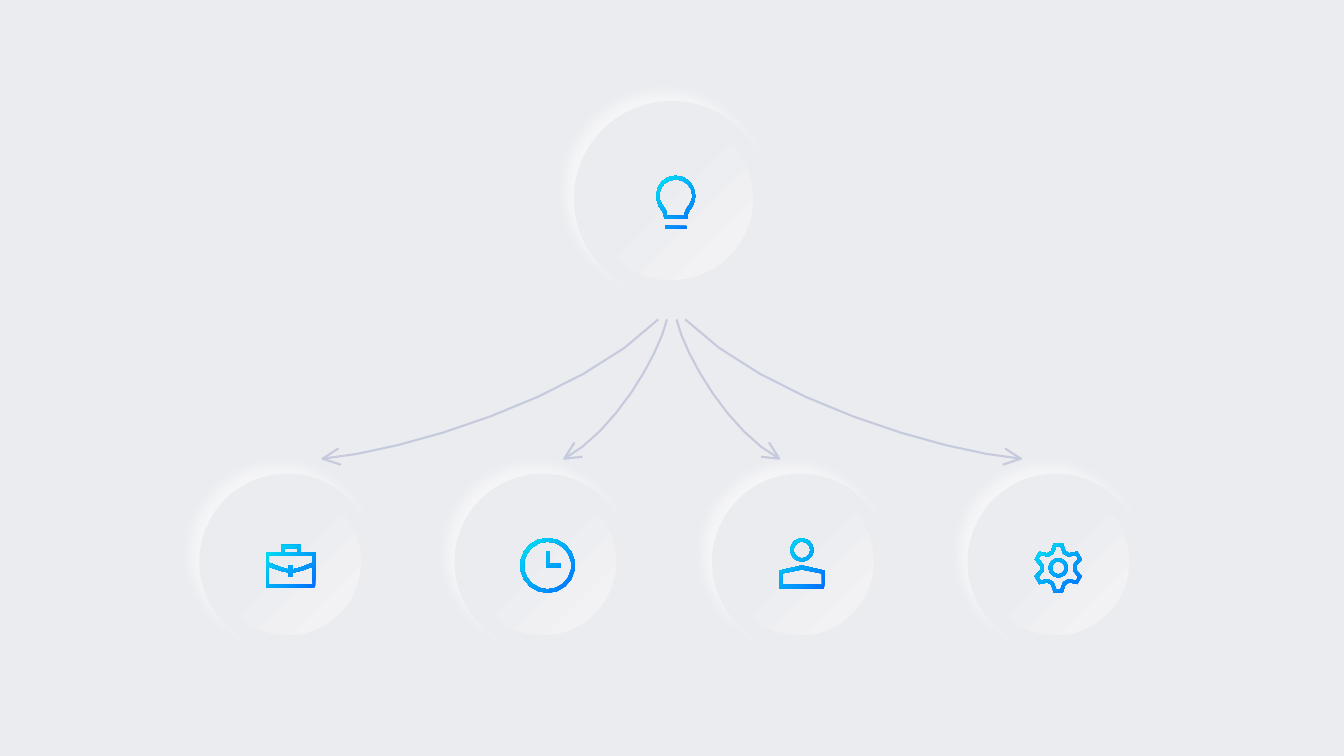
"""Build a hub slide: an idea button with curved arrows to four icon buttons."""
from dataclasses import dataclass
from math import cos, radians, sin

from lxml.etree import SubElement
from pptx import Presentation
from pptx.dml.color import RGBColor as Rgb
from pptx.enum.shapes import MSO_SHAPE as Shape
from pptx.oxml.ns import qn
from pptx.util import Cm, Pt


@dataclass(frozen=True)
class Theme:
    """Colours and sizes of the deck."""
    surface: str = "EBECF0"
    highlight: str = "F4F4F6"
    glow: str = "FFFFFF"
    arrow: str = "C5CADC"
    icon_dark: str = "006EFF"
    icon_light: str = "00E6F2"
    arrow_width: float = 1.5
    glow_size: float = 9
    inner_ratio: float = 0.83


SLIDE_WIDTH, SLIDE_HEIGHT = 33.87, 19.05
CENTER = 16.93


def bezier(start, *controls, steps=4):
    """Return points along a chain of cubic curves."""
    points = [start]
    for i in range(0, len(controls), 3):
        corners = (points[-1], *controls[i:i + 3])
        for step in range(1, steps + 1):
            t = step / steps
            weights = ((1 - t) ** 3, 3 * t * (1 - t) ** 2, 3 * t * t * (1 - t), t ** 3)
            points.append(tuple(sum(w * c[axis] for w, c in zip(weights, corners))
                                for axis in (0, 1)))
    return points


def polar(radius, degrees, y=0):
    """Return the point at a clockwise angle from the top."""
    return radius * sin(radians(degrees)), y - radius * cos(radians(degrees))


def circle(radius, y=0):
    """Return a circular contour."""
    return [polar(radius, degrees, y) for degrees in range(0, 360, 20)]


def symmetric(*half):
    """Return a contour from its right half, mirrored to the left."""
    return [*half, *((-x, y) for x, y in reversed(half) if x)]


def cog(tip, tip_angle, root, root_angle):
    """Return a six-toothed contour."""
    tooth = ((root, -root_angle), (tip, -tip_angle), (tip, tip_angle), (root, root_angle))
    return [polar(r, turn + a) for turn in range(0, 360, 60) for r, a in tooth]


BULB = [
    symmetric((0.27, 0.61), (0.27, 0.69)),
    symmetric(*bezier((0, -0.65), (0.28, -0.65), (0.49, -0.43), (0.49, -0.15),
                      (0.49, -0.05), (0.46, 0.03), (0.42, 0.13),
                      (0.32, 0.25), (0.29, 0.33), (0.29, 0.43))),
    symmetric(*bezier((0, -0.56), (0.23, -0.56), (0.42, -0.38), (0.42, -0.15),
                      (0.42, -0.08), (0.39, 0), (0.34, 0.08),
                      (0.24, 0.2), (0.22, 0.28), (0.22, 0.36))),
]
BRIEFCASE = [
    symmetric((0.24, -0.56), (0.24, -0.37), (0.62, -0.37), (0.62, 0.52)),
    symmetric((0.17, -0.47), (0.17, -0.37)),
    symmetric((0.55, -0.29), (0.55, -0.11), (0.24, 0.01), (0.05, 0.06), (0.05, -0.04)),
    symmetric((0.05, 0.24), (0.05, 0.14), (0.27, 0.09), (0.55, -0.01), (0.55, 0.44)),
]
CLOCK = [
    circle(0.69), circle(0.6),
    [(0.33, 0.05), (-0.03, 0.05), (-0.03, -0.36),
     (0.05, -0.36), (0.05, -0.05), (0.33, -0.05)],
]
PERSON = [
    circle(0.29, -0.34), circle(0.21, -0.34),
    symmetric((0, 0.05), (0.57, 0.18), (0.57, 0.64)),
    symmetric((0, 0.15), (0.5, 0.25), (0.5, 0.53)),
]
GEAR = [cog(0.63, 10.4, 0.46, 23), cog(0.55, 5.3, 0.38, 19), circle(0.24), circle(0.16)]

ARROWS = [
    (bezier((8.13, 11.56), (10.16, 11.38), (14.58, 10.06), (16.59, 8.05), steps=8),
     [(8.59, 11.71), (8.13, 11.56), (8.53, 11.3)]),
    (bezier((14.22, 11.56), (15.46, 10.9), (16.59, 8.99), (16.81, 8.05), steps=8),
     [(14.68, 11.51), (14.22, 11.56), (14.48, 11.15)]),
]


class Deck:
    """Hold the theme and the current slide, and draw its elements."""

    def __init__(self, theme):
        """Start a presentation with one blank slide."""
        self.theme = theme
        self.presentation = Presentation()
        self.presentation.slide_width = Cm(SLIDE_WIDTH)
        self.presentation.slide_height = Cm(SLIDE_HEIGHT)
        self.slide = self.presentation.slides.add_slide(self.presentation.slide_layouts[6])
        self.paint(self.slide.background.fill, theme.surface)

    def paint(self, fill, color):
        """Apply a solid colour."""
        fill.solid()
        fill.fore_color.rgb = Rgb.from_string(color)

    def blend(self, fill, *stops):
        """Apply a two-stop gradient."""
        fill.gradient()
        for stop, (position, color) in zip(fill.gradient_stops, stops):
            stop.position = position
            stop.color.rgb = Rgb.from_string(color)

    def outline(self, shapes, contours, close):
        """Draw contours as one freeform."""
        paths = [[(Cm(x), Cm(y)) for x, y in contour] for contour in contours]
        builder = shapes.build_freeform(*paths[0][0], scale=1.0)
        for index, points in enumerate(paths):
            if index:
                builder.move_to(*points[0])
            builder.add_line_segments(points[1:], close=close)
        form = builder.convert_to_shape()
        form.shadow.inherit = False
        return form

    def arrow(self, *strokes):
        """Draw a curved shaft with an open head."""
        group = self.slide.shapes.add_group_shape()
        for stroke in strokes:
            form = self.outline(group.shapes, [stroke], close=False)
            form.fill.background()
            self.paint(form.line.fill, self.theme.arrow)
            form.line.width = Pt(self.theme.arrow_width)

    def disc(self, shapes, x, y, diameter):
        """Draw a borderless circle around a centre."""
        disc = shapes.add_shape(Shape.OVAL, Cm(x - diameter / 2), Cm(y - diameter / 2),
                                Cm(diameter), Cm(diameter))
        disc.line.fill.background()
        disc.shadow.inherit = False
        return disc

    def button(self, x, y, diameter):
        """Draw a raised round button with a soft glow."""
        theme = self.theme
        group = self.slide.shapes.add_group_shape()
        base = self.disc(group.shapes, x, y, diameter)
        self.paint(base.fill, theme.surface)
        effects = base._element.spPr.find(qn("a:effectLst"))
        size = str(Pt(theme.glow_size))
        glow = SubElement(effects, qn("a:outerShdw"), blurRad=size, dist=size,
                          dir="13500000", algn="ctr", rotWithShape="0")
        color = SubElement(glow, qn("a:srgbClr"), val=theme.glow)
        SubElement(color, qn("a:alpha"), val="56000")
        face = self.disc(group.shapes, x, y, diameter * theme.inner_ratio)
        self.blend(face.fill, (0.39, theme.surface), (1, theme.highlight))
        gradient = face._element.spPr.find(qn("a:gradFill"))
        gradient.remove(gradient.find(qn("a:lin")))
        radial = SubElement(gradient, qn("a:path"), path="circle")
        SubElement(radial, qn("a:fillToRect"), r="100000", b="100000")

    def icon(self, x, y, contours):
        """Draw an icon around a centre."""
        placed = [[(x + dx, y + dy) for dx, dy in contour] for contour in contours]
        form = self.outline(self.slide.shapes, placed, close=True)
        self.blend(form.fill, (0, self.theme.icon_dark), (1, self.theme.icon_light))
        form.fill.gradient_angle = 135
        form.line.fill.background()


def main():
    """Draw the slide and save it."""
    deck = Deck(Theme())
    for strokes in ARROWS:
        deck.arrow(*strokes)
    for strokes in ARROWS:
        deck.arrow(*([(2 * CENTER - x, y) for x, y in stroke] for stroke in strokes))
    deck.button(CENTER, 5.01, 4.93)
    for x in (7.25, 13.68, 20.17, 26.61):
        deck.button(x, 14.16, 4.45)
    for x, y, contours in ((26.67, 14.31, GEAR), (7.33, 14.29, BRIEFCASE),
                           (17.03, 5.08, BULB), (20.21, 14.2, PERSON),
                           (13.8, 14.25, CLOCK)):
        deck.icon(x, y, contours)
    deck.presentation.save("out.pptx")


if __name__ == "__main__":
    main()
